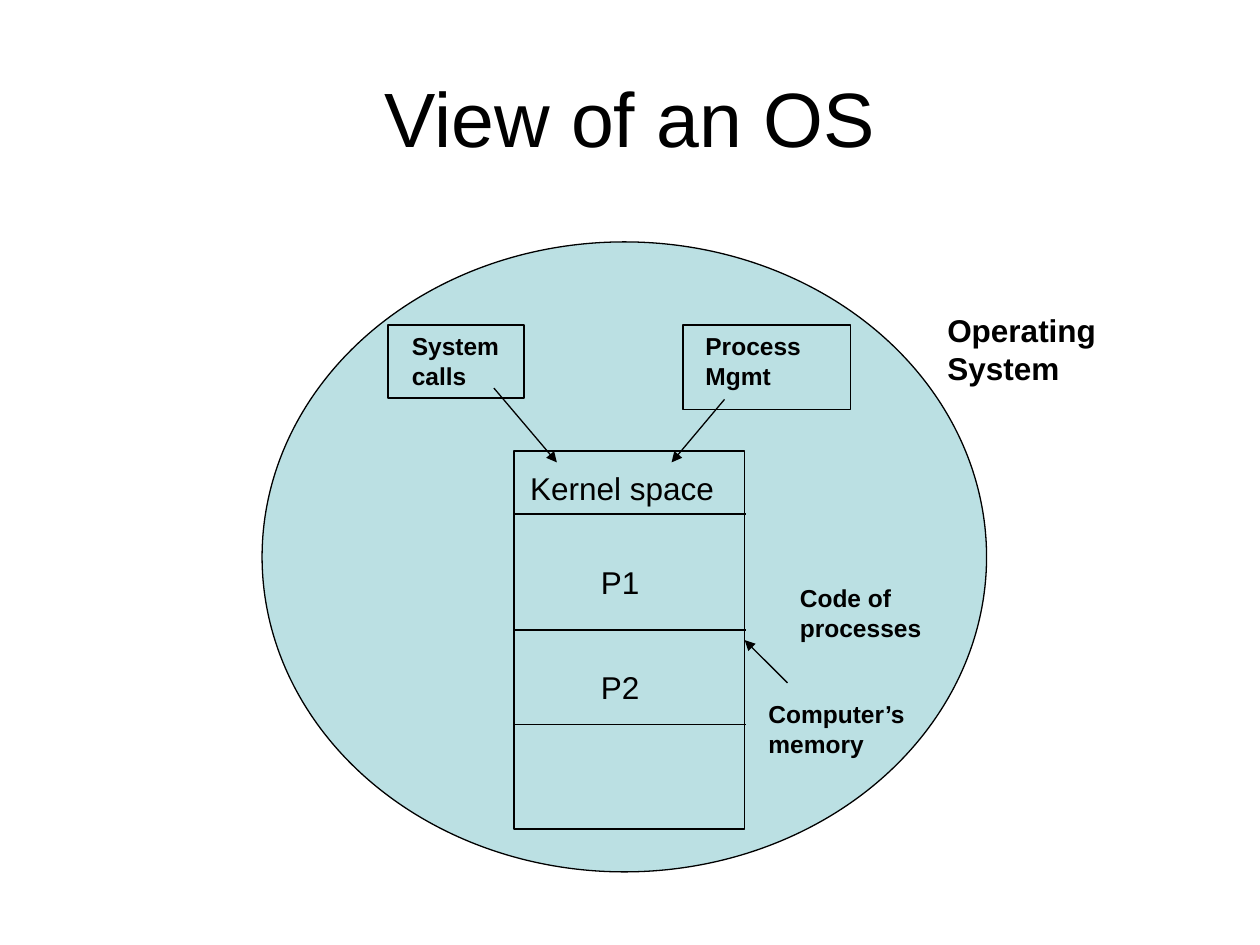
from pptx import Presentation
from pptx.dml.color import RGBColor
from pptx.enum.shapes import MSO_CONNECTOR as Connector, MSO_SHAPE as Shape
from pptx.enum.text import MSO_ANCHOR as Anchor, PP_ALIGN as Align
from pptx.oxml.ns import qn
from pptx.util import Inches, Pt
from lxml.etree import SubElement


def color(hex_code):
    return RGBColor.from_string(hex_code)


class Diagram:
    font = "Arial"
    ink = "000000"
    fill = "BBE0E3"
    line_width = 0.75

    def __init__(self, slide):
        self.slide = slide

    def outline(self, line):
        line.color.rgb = color(self.ink)
        line.width = Pt(self.line_width)

    def shape(self, kind, *bounds):
        shape = self.slide.shapes.add_shape(kind, *map(Inches, bounds))
        shape.shadow.inherit = False
        shape.fill.solid()
        shape.fill.fore_color.rgb = color(self.fill)
        self.outline(shape.line)
        return shape

    def connector(self, start, end, arrow=False):
        link = self.slide.shapes.add_connector(
            Connector.STRAIGHT, *map(Inches, start + end))
        self.outline(link.line)
        properties = link._element.spPr
        if arrow:
            SubElement(properties.find(qn("a:ln")), qn("a:tailEnd"), type="triangle")
        SubElement(properties, qn("a:effectLst"))
        return link

    def text(self, lines, bounds, size, bold=False, align=Align.LEFT, anchor=Anchor.TOP):
        box = self.slide.shapes.add_textbox(*map(Inches, bounds))
        frame = box.text_frame
        frame.word_wrap = True
        frame.vertical_anchor = anchor
        for index, line in enumerate(lines):
            para = frame.add_paragraph() if index else frame.paragraphs[0]
            para.alignment = align
            span = para.add_run()
            span.text = line
            span.font.name = self.font
            span.font.size = Pt(size)
            span.font.bold = bold
            span.font.color.rgb = color(self.ink)
        return box


def main():
    deck = Presentation()
    deck.slide_width, deck.slide_height = Inches(10), Inches(7.5)
    page = deck.slides.add_slide(deck.slide_layouts[6])
    diagram = Diagram(page)

    # Title
    diagram.text(["View of an OS"], (0.5, 0.3, 9, 1.25), 44,
                 align=Align.CENTER, anchor=Anchor.MIDDLE)

    # Operating system with its services and the memory
    diagram.shape(Shape.OVAL, 2.08, 1.92, 5.75, 5)
    diagram.shape(Shape.RECTANGLE, 3.08, 2.58, 1.08, 0.58)
    memory = diagram.shape(Shape.RECTANGLE, 4.08, 3.58, 1.83, 3)
    diagram.shape(Shape.RECTANGLE, 5.42, 2.58, 1.33, 0.67)

    # Memory dividers
    for y in (4.08, 5, 5.75):
        diagram.connector((4.08, y), (5.92, y))

    # Memory regions
    for label, bounds in (
        ("Kernel space", (4.11, 3.67, 1.73, 0.4)),
        ("P1", (4.67, 4.42, 0.83, 0.4)),
        ("P2", (4.67, 5.25, 0.52, 0.4)),
    ):
        diagram.text([label], bounds, 18)

    # Bold labels
    for label, bounds in (
        ("System calls", (3.17, 2.58, 1.14, 0.57)),
        ("Process Mgmt", (5.5, 2.58, 1.18, 0.57)),
        ("Code of processes", (6.25, 4.58, 1.17, 0.57)),
        ("Computer’s memory", (6, 5.5, 1.33, 0.57)),
    ):
        diagram.text([label], bounds, 14, bold=True)
    diagram.text(["Operating", "System"], (7.42, 2.42, 1.43, 0.7), 18, bold=True)

    # Arrows into the memory
    diagram.connector((3.92, 3.08), (4.42, 3.67), arrow=True)
    diagram.connector((5.75, 3.17), (5.33, 3.67), arrow=True)
    memory_arrow = diagram.connector((6.25, 5.42), (5.92, 5.08), arrow=True)
    memory_arrow.end_connect(memory, 3)

    deck.save("out.pptx")


if __name__ == "__main__":
    main()
